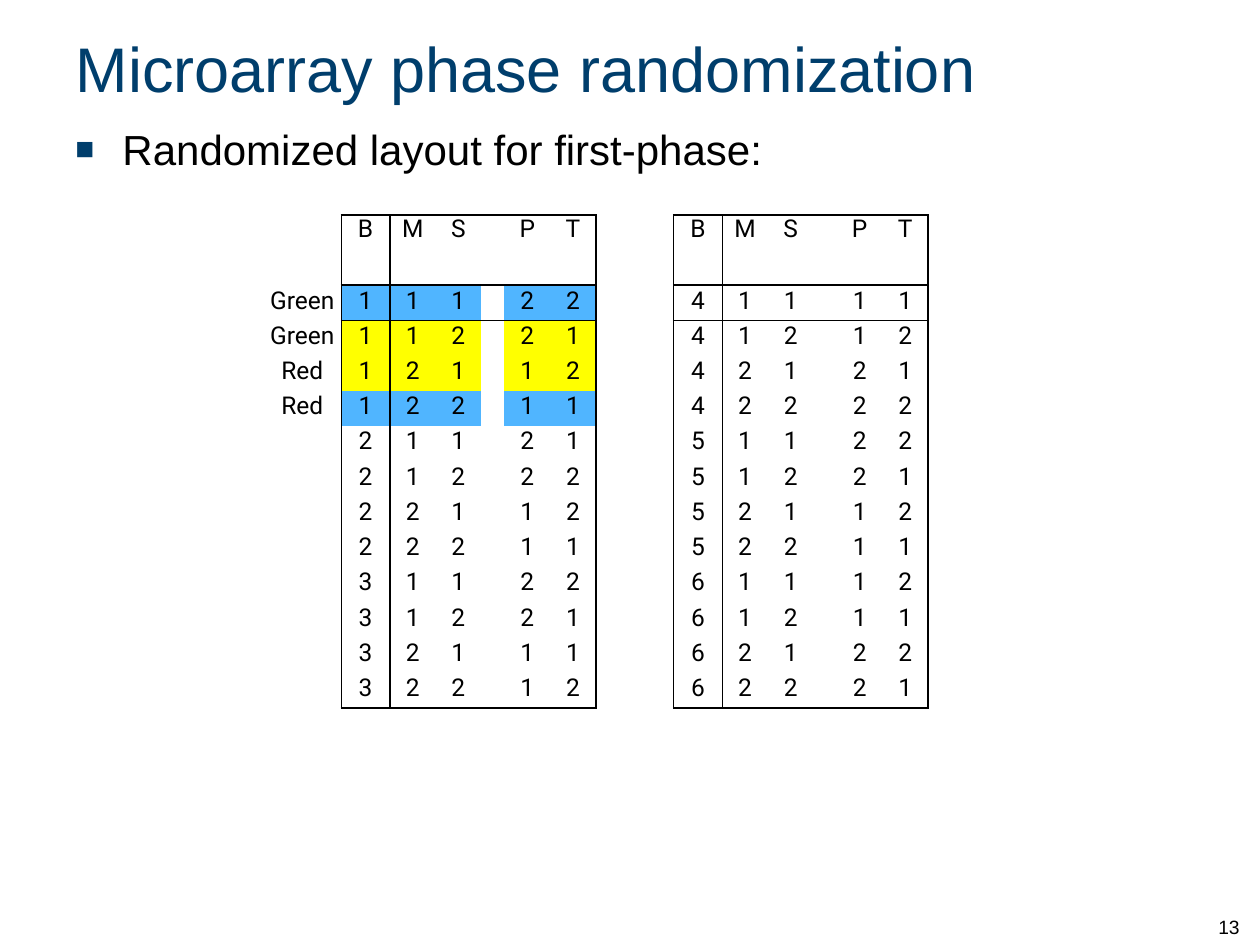
"""Build the slide on randomizing the first phase of a microarray study."""
from lxml import etree
from pptx import Presentation
from pptx import util as u
from pptx.dml.color import RGBColor
from pptx.enum import text
from pptx.oxml.ns import qn

NAVY = RGBColor(0x00, 0x3E, 0x6C)
BLACK = RGBColor(0x00, 0x00, 0x00)
BLUE = RGBColor(0x50, 0xB5, 0xFF)
YELLOW = RGBColor(0xFF, 0xFF, 0x00)
PLAIN = "{2D5ABB26-0587-4C30-8999-92F81FD0307C}"

TITLE = "Microarray phase randomization"
LEAD = "Randomized layout for first-phase:"
PAGE = "13"
HEADS = "BMS PT"
LEFT = ["111 22", "112 21", "121 12", "122 11", "211 21", "212 22",
        "221 12", "222 11", "311 22", "312 21", "321 11", "322 12"]
RIGHT = ["411 11", "412 12", "421 21", "422 22", "511 22", "512 21",
         "521 12", "522 11", "611 12", "612 11", "621 22", "622 21"]
DYES = [("Green", BLUE), ("Green", YELLOW), ("Red", YELLOW), ("Red", BLUE)]
WIDTHS = [1.57, 0.98, 0.92, 0.92, 0.47, 0.92, 0.92]
HEAD_H, ROW_H = 1.42, 0.71
SPAN = len(WIDTHS)


def write(frame, words, size=14, face="Arial", color=BLACK,
          align=text.PP_ALIGN.LEFT, anchor=text.MSO_ANCHOR.TOP):
    frame.word_wrap = True
    frame.vertical_anchor = anchor
    para = frame.paragraphs[0]
    para.alignment = align
    if not words:
        etree.SubElement(para._p, qn("a:endParaRPr"), sz=str(size * 100))
        return para
    run = para.add_run()
    run.text = words
    run.font.size = u.Pt(size)
    run.font.name = face
    run.font.color.rgb = color
    return para


def bullet(para, mark, color, scale, hang):
    props = para._p.get_or_add_pPr()
    props.set("marL", str(hang))
    props.set("indent", str(-hang))
    tint = etree.SubElement(props, qn("a:buClr"))
    etree.SubElement(tint, qn("a:srgbClr"), val=str(color))
    etree.SubElement(props, qn("a:buSzPct"), val=str(scale * 1000))
    etree.SubElement(props, qn("a:buFont"), typeface="Arial")
    etree.SubElement(props, qn("a:buChar"), char=mark)


def border(cell, sides):
    props = cell._tc.get_or_add_tcPr()
    for side in "LRTB":
        if side in sides:
            line = etree.SubElement(props, qn("a:ln" + side), w=str(u.Pt(1)))
            fill = etree.SubElement(line, qn("a:solidFill"))
            etree.SubElement(fill, qn("a:srgbClr"), val=str(BLACK))


def edges(row, col, last):
    spot = col % SPAN
    if spot == 0:
        return "R" if col == 0 else "LR"
    sides = "L" if spot == 1 else "R" if spot == SPAN - 1 else ""
    return sides + ("T" if row < 2 else "") + ("B" if row in (0, last) else "")


def fill_grid(slide):
    rows = [["", *HEADS, "", *HEADS]]
    for i, (left, right) in enumerate(zip(LEFT, RIGHT)):
        dye = DYES[i][0] if i < len(DYES) else ""
        rows.append([dye, *left, "", *right])
    widths = WIDTHS * 2
    heights = [HEAD_H] + [ROW_H] * len(LEFT)
    frame = slide.shapes.add_table(
        len(rows), len(widths), u.Cm(5.31), u.Cm(4.33),
        u.Cm(sum(widths)), u.Cm(sum(heights)))
    grid = frame.table
    grid.first_row = grid.horz_banding = False
    grid._tbl.tblPr.find(qn("a:tableStyleId")).text = PLAIN
    for col, width in zip(grid.columns, widths):
        col.width = u.Cm(width)
    for r, (row, height) in enumerate(zip(rows, heights)):
        grid.rows[r].height = u.Cm(height)
        for c, words in enumerate(row):
            cell = grid.cell(r, c)
            words = words.strip()
            cell.margin_left = cell.margin_right = u.Cm(0.02 if r else 0.18)
            cell.margin_top = u.Cm(0.02 if r else 0)
            cell.margin_bottom = 0
            write(cell.text_frame, words, face="Roboto",
                  align=text.PP_ALIGN.CENTER)
            border(cell, edges(r, c, len(LEFT)))
            if words and 1 <= r <= len(DYES) and 0 < c < SPAN:
                cell.fill.solid()
                cell.fill.fore_color.rgb = DYES[r - 1][1]
            else:
                cell.fill.background()


def main():
    deck = Presentation()
    deck.slide_width, deck.slide_height = u.Cm(25.4), u.Cm(19.05)
    slide = deck.slides.add_slide(deck.slide_layouts[5])

    title = slide.shapes.title
    title.left, title.top = u.Cm(1.27), u.Cm(0.03)
    title.width, title.height = u.Cm(23.6), u.Cm(2.64)
    write(title.text_frame, TITLE, size=36, color=NAVY,
          anchor=text.MSO_ANCHOR.MIDDLE)

    lead = slide.shapes.add_textbox(u.Cm(1.27), u.Cm(2.36),
                                    u.Cm(23.72), u.Cm(1.47))
    para = write(lead.text_frame, LEAD, size=24)
    bullet(para, "■", NAVY, 75, u.Cm(0.95))

    fill_grid(slide)

    page = slide.shapes.add_textbox(u.Cm(24.31), u.Cm(17.78),
                                    u.Cm(1.07), u.Cm(1.27))
    write(page.text_frame, PAGE, size=11, anchor=text.MSO_ANCHOR.BOTTOM)
    deck.save("out.pptx")


if __name__ == "__main__":
    main()
